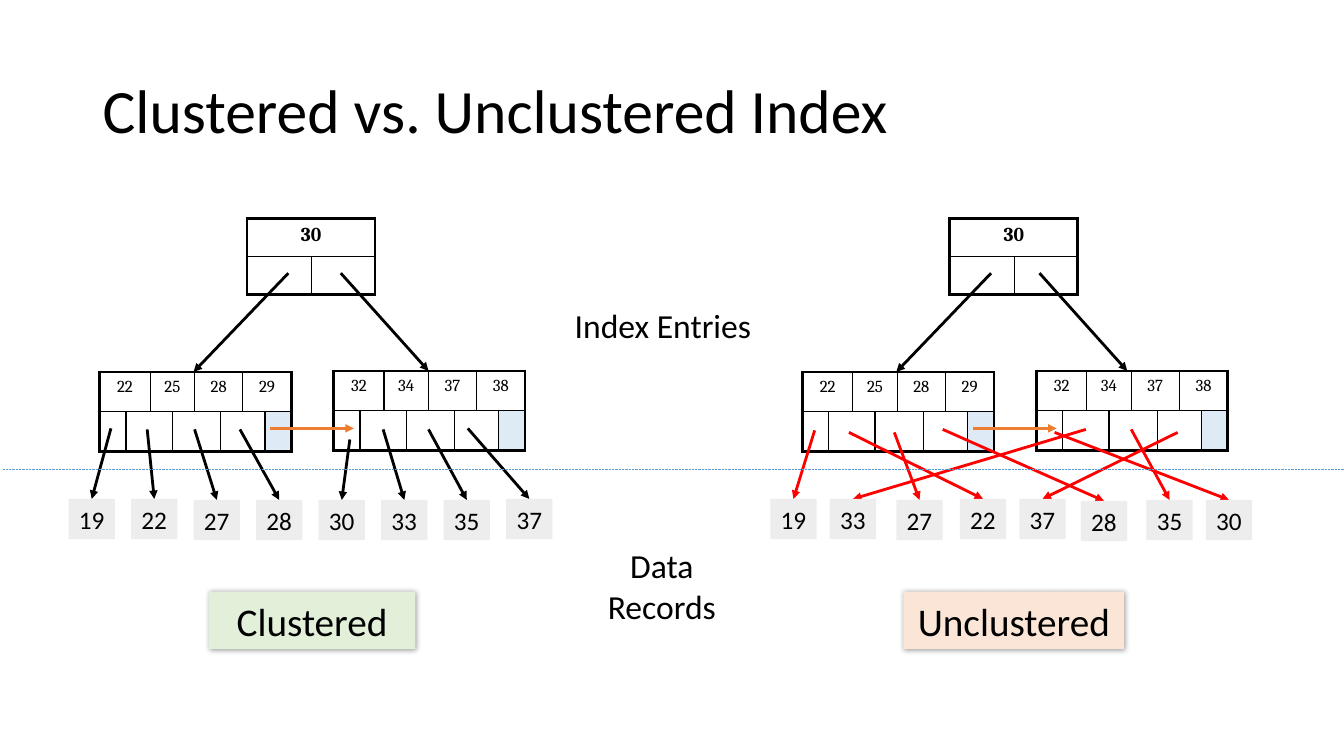
from lxml.etree import SubElement
from pptx import Presentation
from pptx.dml.color import RGBColor
from pptx.enum.dml import MSO_LINE
from pptx.enum.shapes import MSO_CONNECTOR, MSO_SHAPE
from pptx.enum.text import MSO_ANCHOR, PP_ALIGN
from pptx.oxml import parse_xml
from pptx.oxml.ns import nsdecls, qn
from pptx.util import Inches, Pt

COLORS = {"ink": "000000", "record": "EDEDED", "next": "DEEBF7", "sibling": "ED7D31",
          "scattered": "FF0000", "divider": "5B9BD5", "green": "E2F0D9", "peach": "FBE5D6"}

# Node cells: (row, first column, last column, text, fill)
ROOT_COLS = [0.64, 0.63]
ROOT_CELLS = [(0, 0, 1, "30", None), (1, 0, 0, "", None), (1, 1, 1, "", None)]
LEAF_COLS = [0.26, 0.22, 0.22, 0.22, 0.26, 0.22, 0.22, 0.26]
LEAF_POINTERS = [(1, 0, 0, "", None), (1, 1, 2, "", None), (1, 3, 4, "", None),
                 (1, 5, 6, "", None), (1, 7, 7, "", "next")]
# Leaves: (left, top, keys), measured from the left of the tree
LEAVES = [(0.99, 3.69, ["22", "25", "28", "29"]), (3.31, 3.68, ["32", "34", "37", "38"])]

# Records: (value, left, top, pointer x, pointer y), measured from the left of the tree
TREES = [
    {"left": 0, "arrow": "ink", "right_child": (3.38, 4.25),
     "label": ("Clustered", 2.07, 2.05, "green"),
     "records": [("19", 0.68, 4.95, 1.1, 4.25), ("22", 1.3, 4.95, 1.46, 4.26),
                 ("27", 1.92, 4.96, 1.93, 4.26), ("28", 2.54, 4.96, 2.38, 4.26),
                 ("30", 3.16, 4.96, 3.47, 4.36), ("33", 3.78, 4.96, 3.8, 4.26),
                 ("35", 4.4, 4.96, 4.25, 4.26), ("37", 5.02, 4.95, 4.64, 4.25)]},
    {"left": 6.97, "arrow": "scattered", "right_child": (3.34, 4.21),
     "label": ("Unclustered", 8.96, 2.19, "peach"),
     "records": [("19", 0.67, 4.95, 1.11, 4.27), ("33", 1.26, 4.95, 3.8, 4.26),
                 ("27", 1.92, 4.96, 1.9, 4.29), ("22", 2.55, 4.95, 1.45, 4.29),
                 ("37", 3.14, 4.95, 4.71, 4.29), ("28", 3.75, 4.97, 2.38, 4.26),
                 ("35", 4.4, 4.96, 4.25, 4.26), ("30", 4.99, 4.96, 3.49, 4.29)]},
]
CAPTIONS = [("Index Entries", 5.59, 2.98), ("Data Records", 5.58, 5.36)]
RECORD_W, RECORD_H = 0.46, 0.4

prs = Presentation()
prs.slide_width, prs.slide_height = Inches(13.33), Inches(7.5)
s = prs.slides.add_slide(prs.slide_layouts[6])


def color(name):
    return RGBColor.from_string(COLORS[name])


def write(tf, text, size, align=PP_ALIGN.CENTER, font="Calibri", bold=False):
    p = tf.paragraphs[0]
    p.text = text
    p.alignment = align
    p.font.size, p.font.name, p.font.bold = Pt(size), font, bold
    p.font.color.rgb = color("ink")
    return p


def add_text(text, x, y, w, h, size, align=PP_ALIGN.CENTER):
    tf = s.shapes.add_textbox(Inches(x), Inches(y), Inches(w), Inches(h)).text_frame
    tf.word_wrap = True
    return tf, write(tf, text, size, align)


def add_box(text, x, y, w, h, size, fill):
    sp = s.shapes.add_shape(MSO_SHAPE.RECTANGLE, Inches(x), Inches(y), Inches(w), Inches(h))
    sp.shadow.inherit = False
    sp.fill.solid()
    sp.fill.fore_color.rgb = color(fill)
    sp.line.fill.background()
    write(sp.text_frame, text, size)
    return sp


def add_line(start, end, name, width=2, head=True):
    c = s.shapes.add_connector(MSO_CONNECTOR.STRAIGHT, *map(Inches, start + end))
    c.line.color.rgb = color(name)
    c.line.width = Pt(width)
    if head:
        SubElement(c.line._get_or_add_ln(), qn("a:tailEnd"), type="triangle")
    SubElement(c._element.spPr, qn("a:effectLst"))
    return c


def set_borders(cell, widths):
    tcPr = cell._tc.get_or_add_tcPr()
    for i, (side, width) in enumerate(zip("LRTB", widths)):
        tcPr.insert(i, parse_xml(
            f'<a:ln{side} {nsdecls("a")} w="{Pt(width)}"><a:solidFill>'
            f'<a:srgbClr val="{COLORS["ink"]}"/></a:solidFill></a:ln{side}>'))


def add_node(x, y, cols, row_h, cells, size, bold=False):
    """Two-row index node: keys above, pointers below, with a heavy outer edge."""
    table = s.shapes.add_table(2, len(cols), Inches(x), Inches(y),
                               Inches(sum(cols)), Inches(2 * row_h)).table
    table.first_row = table.horz_banding = False
    for column, width in zip(table.columns, cols):
        column.width = Inches(width)
    last = len(cols) - 1
    for row, c0, c1, text, fill in cells:
        if c1 > c0:
            table.cell(row, c0).merge(table.cell(row, c1))
        edges = (c0 == 0, c1 == last, row == 0, row == 1)
        for c in range(c0, c1 + 1):
            cell = table.cell(row, c)
            if fill:
                cell.fill.solid()
                cell.fill.fore_color.rgb = color(fill)
            else:
                cell.fill.background()
            set_borders(cell, [2.25 if outer else 1 for outer in edges])
            if c > c0 or not text:
                cell.margin_top = cell.margin_bottom = 0
        if text:
            write(table.cell(row, c0).text_frame, text, size, font="Cambria", bold=bold)


def add_tree(tree):
    left = tree["left"]
    add_node(left + 2.45, 2.17, ROOT_COLS, 0.375, ROOT_CELLS, 14, bold=True)
    for x, y, keys in LEAVES:
        key_cells = [(0, 2 * i, 2 * i + 1, key, None) for i, key in enumerate(keys)]
        add_node(left + x, y, LEAF_COLS, 0.395, key_cells + LEAF_POINTERS, 12)
    start, end = tree["right_child"]
    add_line((left + 2.86, 2.71), (left + 1.92, 3.69), "ink")
    add_line((left + start, 2.71), (left + end, 3.68), "ink")
    for value, x, y, px, py in tree["records"]:
        add_line((left + px, py), (left + x + RECORD_W / 2, y), tree["arrow"])
        sp = add_box(value, left + x, y, RECORD_W, RECORD_H, 18, "record")
        sp.text_frame.word_wrap = False
    add_line((left + 2.68, 4.25), (left + 3.51, 4.25), "sibling")


def add_label(text, x, w, fill):
    sp = add_box(text, x, 5.87, w, 0.57, 28, fill)
    effects = sp._element.spPr.find(qn("a:effectLst"))
    shadow = SubElement(effects, qn("a:outerShdw"), blurRad=str(Pt(4)), dist=str(Pt(1)),
                        dir="2700000", algn="tl", rotWithShape="0")
    shade = SubElement(shadow, qn("a:srgbClr"), val=COLORS["ink"])
    SubElement(shade, qn("a:alpha"), val="40000")


tf, p = add_text("Clustered vs. Unclustered Index", 0.92, 0.4, 11.5, 1.45, 44, PP_ALIGN.LEFT)
tf.vertical_anchor = MSO_ANCHOR.MIDDLE
p.line_spacing = 0.9
for tree in TREES:
    add_tree(tree)
for tree in TREES:
    add_label(*tree["label"])
divider = add_line((0.03, 4.66), (13.37, 4.66), "divider", 0.5, head=False)
divider.line.dash_style = MSO_LINE.ROUND_DOT
for text, x, y in CAPTIONS:
    add_text(text, x, y, 1.97, 0.5, 24)
prs.save("out.pptx")
